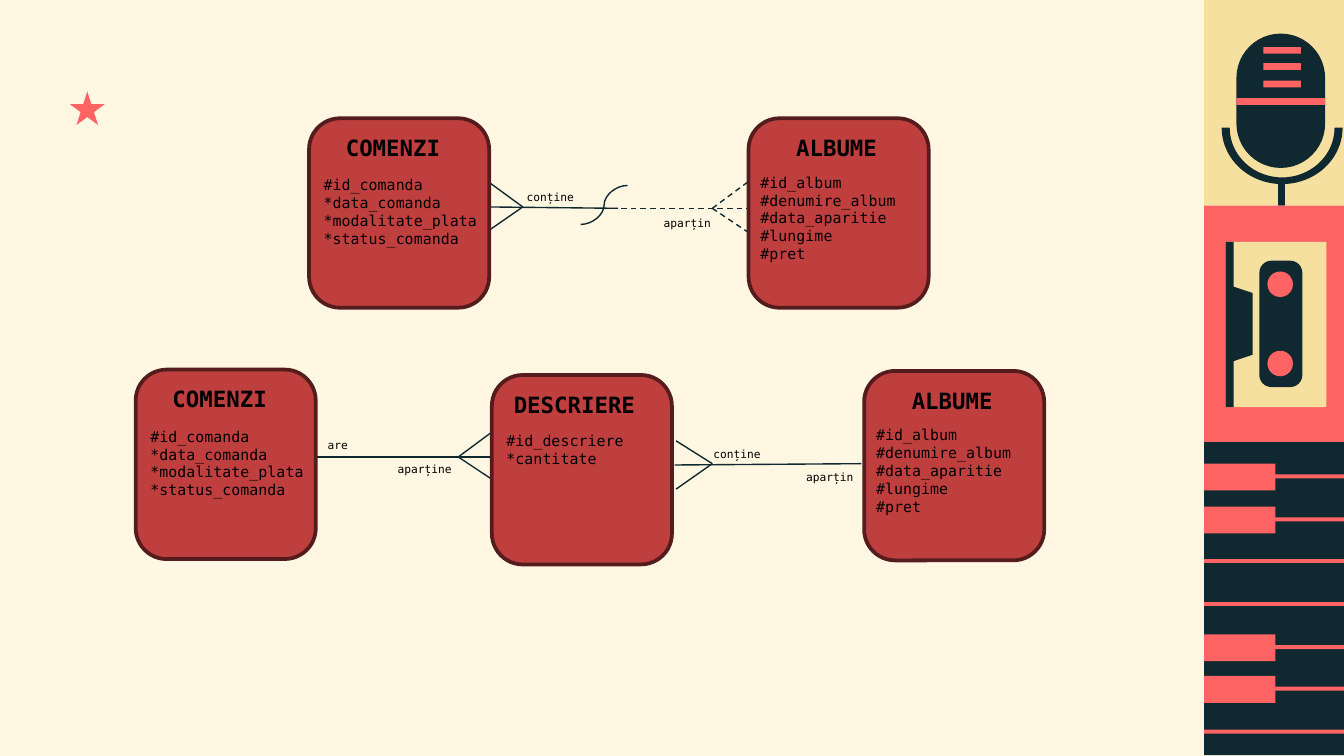
from copy import deepcopy
from math import cos, pi, sin

from lxml.etree import SubElement
from pptx import Presentation
from pptx.dml.color import RGBColor
from pptx.enum.dml import MSO_LINE
from pptx.enum.shapes import MSO_CONNECTOR, MSO_SHAPE
from pptx.enum.text import MSO_AUTO_SIZE, PP_ALIGN
from pptx.oxml.ns import qn
from pptx.util import Inches, Pt

SCALE = 9144
FINE = 100
FONT = "DejaVu Sans Mono"
COLORS = {
    "cream": "FFF7E2",
    "sand": "F6E09F",
    "navy": "102830",
    "coral": "FF6464",
    "red": "BF3F3F",
    "maroon": "541C1C",
    "black": "000000",
}
ORDER_FIELDS = ["#id_comanda\v*data_comanda\v*modalitate_plata\v*status_comanda"]
ALBUM_FIELDS = ["#id_album", "#denumire_album\v#data_aparitie", "#lungime\v#pret"]
LINK_FIELDS = ["#id_descriere\v*cantitate"]


def color(name):
    return RGBColor.from_string(COLORS[name])


def write(para, text, size=8, bold=False, align=PP_ALIGN.LEFT):
    para.text = text
    para.alignment = align
    for span in para.runs:
        span.font.name = FONT
        span.font.size = Pt(size)
        span.font.bold = bold
        span.font.color.rgb = color("black")
    for line_break in para._p.findall(qn("a:br")):
        line_break.append(deepcopy(para.runs[0]._r.rPr))


class Painter:
    def __init__(self, page):
        self.page = page
        background = page.background.fill
        background.solid()
        background.fore_color.rgb = color("cream")

    def paint(self, shape, fill, line=None):
        shape.shadow.inherit = False
        shape.fill.solid()
        shape.fill.fore_color.rgb = color(fill)
        if line:
            shape.line.color.rgb = color(line)
            shape.line.width = Pt(2)
        else:
            shape.line.fill.background()

    def shape(self, left, top, width, height, fill, kind=MSO_SHAPE.RECTANGLE, line=None, rounding=None):
        frame = [value * SCALE for value in (left, top, width, height)]
        shape = self.page.shapes.add_shape(kind, *frame)
        if rounding is not None:
            shape.adjustments[0] = rounding
        self.paint(shape, fill, line)

    def outline(self, points, fill):
        fine_points = [(round(x * FINE), round(y * FINE)) for x, y in points]
        builder = self.page.shapes.build_freeform(*fine_points[0], scale=SCALE / FINE)
        builder.add_line_segments(fine_points[1:], close=True)
        self.paint(builder.convert_to_shape(), fill)

    def line(self, start, end, dashed=False, kind=MSO_CONNECTOR.STRAIGHT):
        ends = [value * SCALE for value in (*start, *end)]
        connector = self.page.shapes.add_connector(kind, *ends)
        connector.line.color.rgb = color("navy")
        connector.line.width = Pt(0.75)
        if dashed:
            connector.line.dash_style = MSO_LINE.DASH
        SubElement(connector._element.spPr, qn("a:effectLst"))

    def crow_foot(self, tip, toes, dashed=False):
        for toe in toes:
            self.line(tip, toe, dashed)

    def text(self, left, top, width, height, lines, **style):
        frame = [value * SCALE for value in (left, top, width, height)]
        box = self.page.shapes.add_textbox(*frame).text_frame
        box.word_wrap = True
        box.auto_size = MSO_AUTO_SIZE.SHAPE_TO_FIT_TEXT
        for index, line in enumerate(lines):
            para = box.add_paragraph() if index else box.paragraphs[0]
            write(para, line, **style)

    def entity(self, left, top, title, fields, title_shift, field_shift, field_height=77):
        self.shape(left, top, 134, 141, "red", MSO_SHAPE.ROUNDED_RECTANGLE, "maroon", 0.172)
        self.text(left + title_shift, top + 7, 243, 30, [title],
                  size=12, bold=True, align=PP_ALIGN.CENTER)
        field_left, field_top = field_shift
        self.text(left + field_left, top + field_top, 160, field_height, fields)


def arc(radius_x, radius_y, steps=40):
    angles = [pi * step / steps for step in range(steps + 1)]
    return [(954 + radius_x * cos(angle), 95 + radius_y * sin(angle)) for angle in angles]


def draw_microphone(painter):
    painter.shape(896, 0, 104, 153, "sand")
    painter.shape(920, 25, 66, 100, "navy", MSO_SHAPE.ROUNDED_RECTANGLE, rounding=0.5)
    painter.shape(920, 73, 66, 5, "coral")
    for top in (35, 47, 60):
        painter.shape(940, top, 28, 5, "coral")
    painter.outline(arc(45, 42) + arc(39, 37)[::-1], "navy")
    painter.shape(951, 134, 5, 19, "navy")


def draw_cassette(painter):
    painter.shape(896, 153, 104, 176, "coral")
    painter.shape(912, 180, 75, 123, "sand")
    painter.outline([(932, 218), (914, 212), (914, 270), (932, 264)], "navy")
    painter.shape(912, 180, 6, 123, "navy")
    painter.shape(937, 194, 32, 94, "navy", MSO_SHAPE.ROUNDED_RECTANGLE, rounding=0.28)
    for top in (202, 261):
        painter.shape(943, top, 19, 19, "coral", MSO_SHAPE.OVAL)


def draw_keyboard(painter):
    painter.shape(896, 329, 104, 233, "navy")
    for index in range(7):
        top = round(353 + index * 95 / 3)
        painter.shape(896, top, 104, 3, "coral")
        if index in (0, 1, 4, 5):
            painter.shape(896, top - 8, 53, 20, "coral")


def draw_relations(painter):
    painter.line((363, 154), (460, 155))
    painter.crow_foot((530, 155), [(557, 135), (557, 173)], dashed=True)
    painter.crow_foot((389, 154), [(363, 135), (363, 172)])
    painter.line((467, 138), (432, 167), kind=MSO_CONNECTOR.CURVE)
    painter.line((455, 155), (558, 155), dashed=True)
    painter.line((229, 340), (368, 340))
    painter.crow_foot((341, 340), [(368, 320), (368, 358)])
    painter.line((502, 346), (641, 345))
    painter.crow_foot((530, 345), [(503, 364), (503, 328)])


def draw_entities(painter):
    painter.entity(366, 279, "DESCRIERE", LINK_FIELDS, -60, (1, 37), 50)
    for left, top in ((230, 88), (101, 275)):
        painter.entity(left, top, "COMENZI", ORDER_FIELDS, -59, (1, 38))
    for left, top in ((557, 88), (643, 276)):
        painter.entity(left, top, "ALBUME", ALBUM_FIELDS, -56, (-1, 36))


def draw_labels(painter):
    for left, top, label in (
        (382, 137, "conține"),
        (484, 156, "aparțin"),
        (234, 321, "are"),
        (286, 339, "aparține"),
        (521, 328, "conține"),
        (590, 345, "aparțin"),
    ):
        painter.text(left, top, 69 if len(label) > 7 else 56, 20, [label], size=6)


def main():
    deck = Presentation()
    deck.slide_width = Inches(10)
    deck.slide_height = Inches(5.625)
    painter = Painter(deck.slides.add_slide(deck.slide_layouts[6]))
    draw_microphone(painter)
    draw_cassette(painter)
    draw_keyboard(painter)
    painter.shape(52, 68, 26, 25, "coral", MSO_SHAPE.STAR_5_POINT)
    draw_relations(painter)
    draw_entities(painter)
    draw_labels(painter)
    deck.save("out.pptx")


if __name__ == "__main__":
    main()
